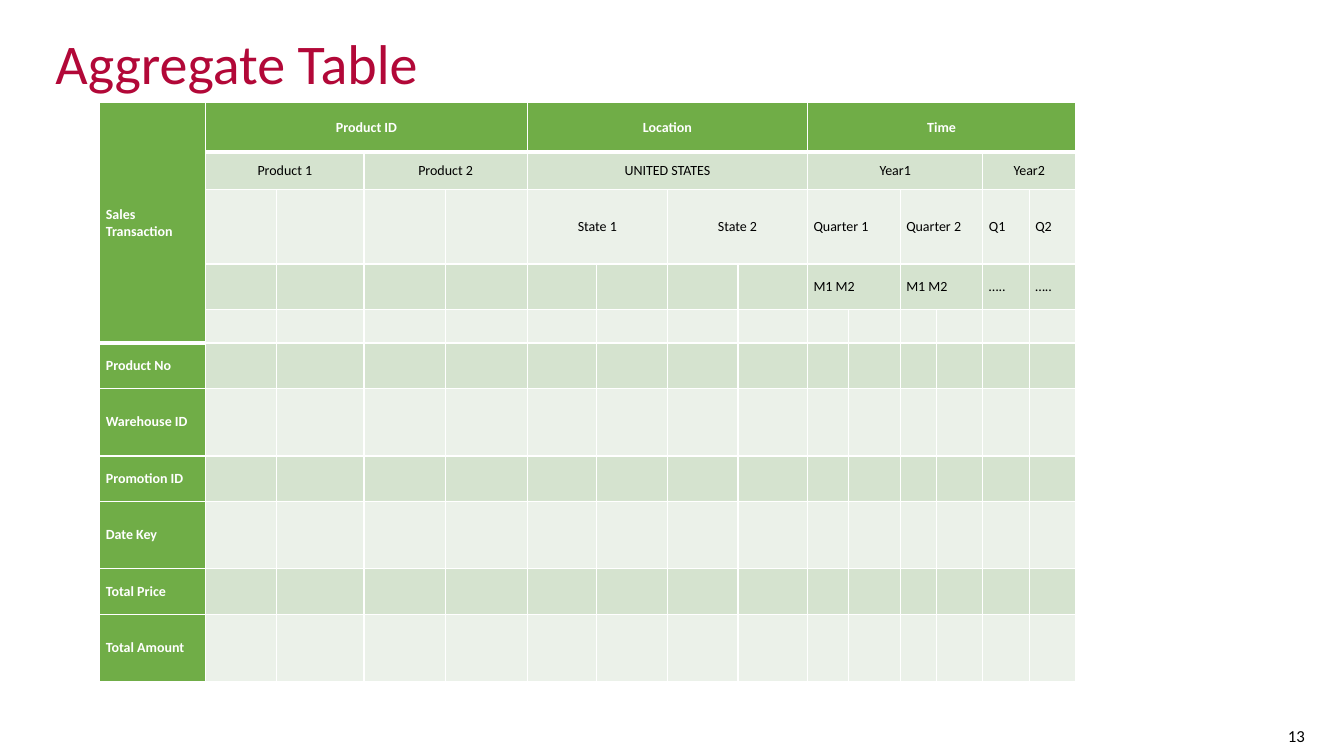
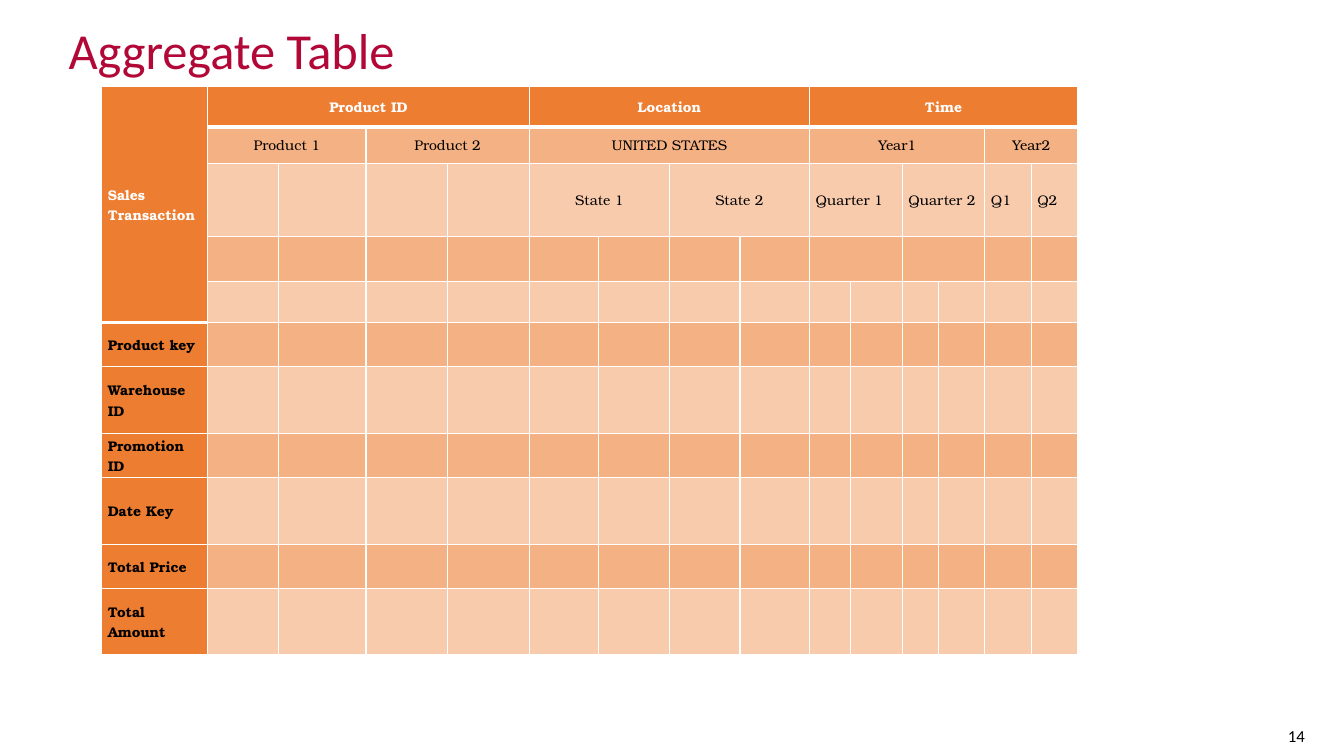
import pptx
import pptx.util
import pptx.dml.color
import pptx.enum.text
import lxml.etree

Inches, Pt = pptx.util.Inches, pptx.util.Pt
ALIGN = pptx.enum.text.PP_ALIGN
MIDDLE = pptx.enum.text.MSO_ANCHOR.MIDDLE
COLORS = {
    "title": "B20838", "black": "000000", "white": "FFFFFF",
    "green": "70AD47", "green_band": "D5E3CF", "green_light": "EBF1E9",
    "orange": "ED7D31", "orange_band": "F4B183", "orange_light": "F8CBAD",
}
COLUMNS = [1.05, 0.7, 0.87, 0.81, 0.81, 0.69, 0.7, 0.7, 0.69, 0.41, 0.51, 0.36, 0.46, 0.46, 0.46]
HEADER_ROWS = 5
HEADINGS = [
    (0, 0, HEADER_ROWS, 1, "Sales Transaction", ALIGN.LEFT),
    (0, 1, 1, 4, "Product ID", ALIGN.CENTER),
    (0, 5, 1, 4, "Location", ALIGN.CENTER),
    (0, 9, 1, 6, "Time", ALIGN.CENTER),
    (1, 1, 1, 2, "Product 1", ALIGN.CENTER),
    (1, 3, 1, 2, "Product 2", ALIGN.CENTER),
    (1, 5, 1, 4, "UNITED STATES", ALIGN.CENTER),
    (1, 9, 1, 4, "Year1", ALIGN.CENTER),
    (1, 13, 1, 2, "Year2", ALIGN.CENTER),
    (2, 5, 1, 2, "State 1", ALIGN.CENTER),
    (2, 7, 1, 2, "State 2", ALIGN.CENTER),
    (2, 9, 1, 2, "Quarter 1", ALIGN.JUSTIFY),
    (2, 11, 1, 2, "Quarter 2", ALIGN.JUSTIFY),
    (2, 13, 1, 1, "Q1", ALIGN.JUSTIFY),
    (2, 14, 1, 1, "Q2", ALIGN.JUSTIFY),
]
MONTH_COLUMNS = [(9, 2), (11, 2), (13, 1), (14, 1)]
PAGES = [
    {"number": "13", "title_at": (0.45, 0.15, 11.5, 1.01), "title_size": 40,
     "table_at": (0.99, 1.02), "theme": "green", "font": "Calibri", "stub_color": "white",
     "rows": [0.49, 0.37, 0.74, 0.45, 0.33] + [0.45, 0.67] * 3,
     "key": "Product No", "months": ["M1 M2", "M1 M2", "…..", "….."]},
    {"number": "14", "title_at": (0.58, 0.2, 11.5, 0.66), "title_size": 36,
     "table_at": (1.01, 0.86), "theme": "orange", "font": "TeX Gyre Bonum", "stub_color": "black",
     "rows": [0.4, 0.36, 0.73, 0.44, 0.41] + [0.44, 0.66] * 3,
     "key": "Product key", "months": [""] * 4},
]


def rgb(name):
    """Return the named colour."""
    return pptx.dml.color.RGBColor.from_string(COLORS[name])


def apply(target, formats):
    """Set each format value on the target."""
    for name, value in formats.items():
        setattr(target, name, value)


def write(frame, text, align, color, **font):
    """Write one formatted run into a text frame."""
    para = frame.paragraphs[0]
    para.alignment = align
    span = para.add_run()
    span.text = text
    apply(span.font, font)
    span.font.color.rgb = rgb(color)
    return para


def add_title(page, place, size):
    """Place and format the title placeholder."""
    box = page.shapes.title
    apply(box, dict(zip(("left", "top", "width", "height"), map(Inches, place))))
    apply(box.text_frame, {"vertical_anchor": MIDDLE, "word_wrap": True,
                           "auto_size": pptx.enum.text.MSO_AUTO_SIZE.NONE})
    para = write(box.text_frame, "Aggregate Table", ALIGN.LEFT, "title", size=Pt(size), name="Calibri")
    para.line_spacing = 0.9


def add_page_number(page, number):
    """Add the page number at the lower right."""
    box = page.shapes.add_textbox(*map(Inches, (12.27, 7.1, 0.77, 0.4)))
    apply(box.text_frame, {"vertical_anchor": MIDDLE, "word_wrap": True})
    write(box.text_frame, number, ALIGN.RIGHT, "black", size=Pt(12), name="Calibri")


def set_borders(cell, top, bottom):
    """Draw white cell borders with the given top and bottom widths."""
    properties = cell._tc.get_or_add_tcPr()
    widths = {"lnL": 1, "lnR": 1, "lnT": top, "lnB": bottom}
    for index, (side, width) in enumerate(widths.items()):
        line = lxml.etree.Element(pptx.oxml.ns.qn("a:" + side), w=str(Pt(width)))
        fill = lxml.etree.SubElement(line, pptx.oxml.ns.qn("a:solidFill"))
        lxml.etree.SubElement(fill, pptx.oxml.ns.qn("a:srgbClr"), val=COLORS["white"])
        properties.insert(index, line)


def format_cell(cell, row, column, theme):
    """Set margins, fill and borders from the cell's place in the table."""
    apply(cell, {"margin_left": Inches(0.06), "margin_right": Inches(0.06),
                 "margin_top": 0, "margin_bottom": 0, "vertical_anchor": MIDDLE})
    band = "_band" if row % 2 else "_light"
    cell.fill.solid()
    cell.fill.fore_color.rgb = rgb(theme if row == 0 or column == 0 else theme + band)
    last_header = HEADER_ROWS - 1 if column == 0 else 0
    heavy_bottom = row in (0, last_header)
    heavy_top = row == last_header + 1
    set_borders(cell, 3 if heavy_top else 1, 3 if heavy_bottom else 1)


def add_aggregate_table(page, design):
    """Add the aggregate table with its merged headings and row labels."""
    rows = design["rows"]
    place = (*design["table_at"], sum(COLUMNS), sum(rows))
    table = page.shapes.add_table(len(rows), len(COLUMNS), *map(Inches, place)).table
    apply(table, {"first_row": False, "horz_banding": False})
    for column, width in zip(table.columns, COLUMNS):
        column.width = Inches(width)
    for row, height in enumerate(rows):
        table.rows[row].height = Inches(height)
        for column in range(len(COLUMNS)):
            format_cell(table.cell(row, column), row, column, design["theme"])
    months = [(3, column, 1, span, text, ALIGN.JUSTIFY)
              for (column, span), text in zip(MONTH_COLUMNS, design["months"])]
    labels = [design["key"], "Warehouse ID", "Promotion ID", "Date Key", "Total Price", "Total Amount"]
    stubs = [(row, 0, 1, 1, text, ALIGN.LEFT) for row, text in enumerate(labels, HEADER_ROWS)]
    for row, column, height, width, text, align in HEADINGS + months + stubs:
        cell = table.cell(row, column)
        if height * width > 1:
            cell.merge(table.cell(row + height - 1, column + width - 1))
        if text:
            color = "white" if row == 0 else design["stub_color"] if column == 0 else "black"
            write(cell.text_frame, text, align, color, size=Pt(10), name=design["font"],
                  bold=row == 0 or column == 0)


def main():
    """Build and save the deck."""
    deck = pptx.Presentation()
    apply(deck, {"slide_width": Inches(13.33), "slide_height": Inches(7.5)})
    for design in PAGES:
        page = deck.slides.add_slide(deck.slide_layouts[5])
        add_page_number(page, design["number"])
        add_title(page, design["title_at"], design["title_size"])
        add_aggregate_table(page, design)
    deck.save("out.pptx")


if __name__ == "__main__":
    main()
